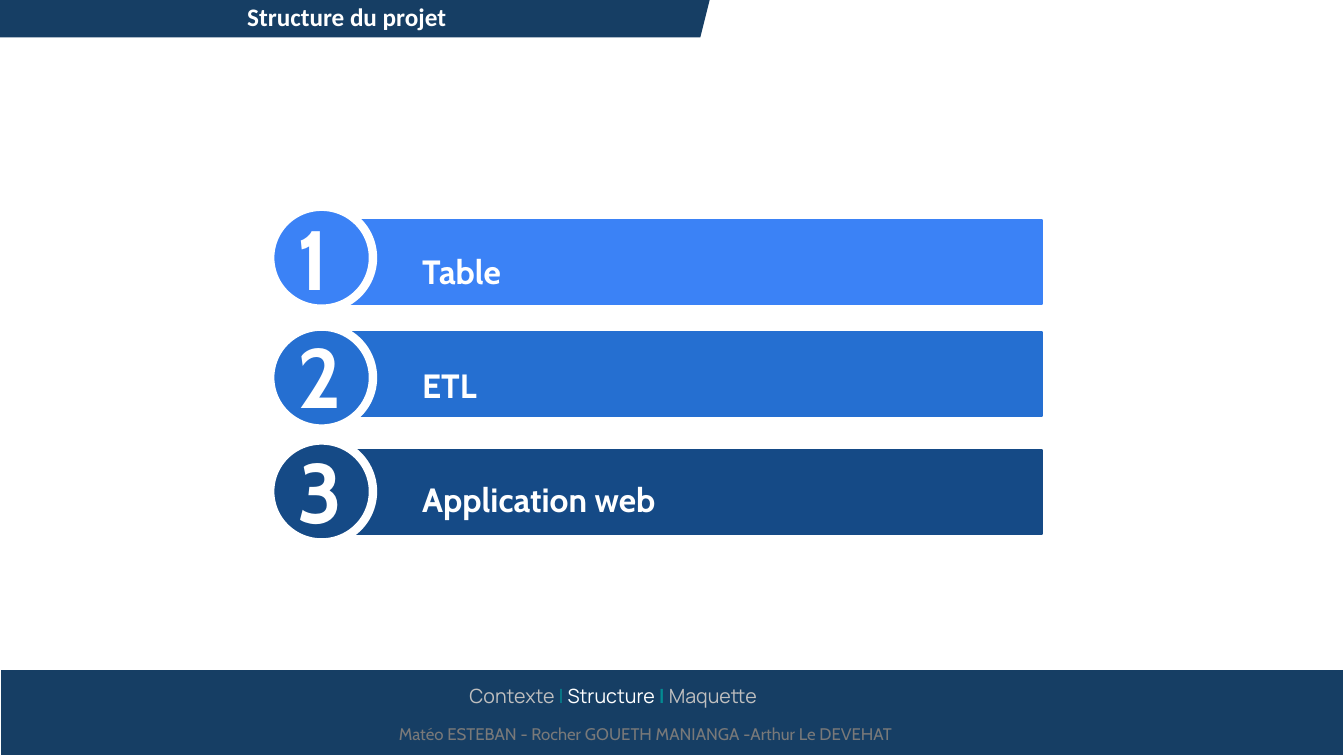
from dataclasses import dataclass
from typing import Optional

from pptx import Presentation
from pptx.dml.color import RGBColor
from pptx.enum import shapes, text
from pptx.shapes.autoshape import Shape
from pptx.slide import Slide
from pptx.util import Cm, Pt


@dataclass(frozen=True)
class Theme:
    navy: str = "163E64"
    white: str = "FFFFFF"
    teal: str = "038B92"
    silver: str = "BFBFBF"
    grey: str = "797979"
    body_font: str = "Cabin"
    title_font: str = "Calibri"
    nav_font: str = "Manrope"
    number_size: int = 60
    label_size: int = 24
    title_size: int = 18
    nav_size: int = 14
    authors_size: int = 12


@dataclass(frozen=True)
class Box:
    left: float
    top: float
    width: float
    height: float

    def emu(self) -> tuple:
        return Cm(self.left), Cm(self.top), Cm(self.width), Cm(self.height)


@dataclass(frozen=True)
class Step:
    number: str
    label: str
    color: str
    bar_top: float
    circle_top: float
    number_top: float


@dataclass(frozen=True)
class Piece:
    words: str
    color: str
    bold: bool = False


THEME = Theme()

STEPS = [
    Step("1", "Table", "3B82F6", 5.54, 5.21, 5.08),
    Step("2", "ETL", "256FD1", 8.36, 8.23, 8.05),
    Step("3", "Application web", "154A86", 11.33, 11.1, 10.95),
]

NAVIGATION = [
    Piece("Contexte ", THEME.silver),
    Piece("| ", THEME.teal),
    Piece("Structure ", THEME.white),
    Piece("| ", THEME.teal, bold=True),
    Piece("Maquette", THEME.silver),
]


def add_figure(slide: Slide, kind: shapes.MSO_SHAPE, box: Box, fill: str,
               line: Optional[str] = None, line_width: float = 1.5) -> Shape:
    figure = slide.shapes.add_shape(kind, *box.emu())
    figure.shadow.inherit = False
    figure.fill.solid()
    figure.fill.fore_color.rgb = RGBColor.from_string(fill)
    if line:
        figure.line.color.rgb = RGBColor.from_string(line)
        figure.line.width = Pt(line_width)
    else:
        figure.line.fill.background()
    return figure


def write(holder: Shape, paragraphs: list[list[Piece]], *, size: int,
          font: str = THEME.body_font, centered: bool = False,
          middle: bool = False, grow: bool = False,
          line_spacing: Optional[float] = None,
          before: int = 0, after: int = 0) -> None:
    frame = holder.text_frame
    frame.word_wrap = True
    frame.vertical_anchor = text.MSO_ANCHOR.MIDDLE if middle else text.MSO_ANCHOR.TOP
    if grow:
        frame.auto_size = text.MSO_AUTO_SIZE.SHAPE_TO_FIT_TEXT
    for index, pieces in enumerate(paragraphs):
        paragraph = frame.add_paragraph() if index else frame.paragraphs[0]
        paragraph.alignment = text.PP_ALIGN.CENTER if centered else text.PP_ALIGN.LEFT
        paragraph.line_spacing = line_spacing
        paragraph.space_before = Pt(before)
        paragraph.space_after = Pt(after)
        for piece in pieces:
            run = paragraph.add_run()
            run.text = piece.words
            run.font.name = font
            run.font.size = Pt(size)
            run.font.bold = piece.bold
            run.font.color.rgb = RGBColor.from_string(piece.color)


def add_text(slide: Slide, box: Box) -> Shape:
    return slide.shapes.add_textbox(*box.emu())


def draw_step(slide: Slide, step: Step) -> None:
    add_figure(slide, shapes.MSO_SHAPE.RECTANGLE, Box(7.57, step.bar_top, 18.69, 2.13),
               step.color, step.color)
    add_figure(slide, shapes.MSO_SHAPE.OVAL, Box(6.81, step.circle_top, 2.59, 2.57),
               step.color, THEME.white, 6)
    number = add_text(slide, Box(7.24, step.number_top, 0.86, 2.82))
    write(number, [[Piece(step.number, THEME.white, bold=True)]],
          size=THEME.number_size, grow=True)


def draw_labels(slide: Slide) -> None:
    labels = add_text(slide, Box(10.39, 5.18, 16.15, 9.75))
    write(labels, [[Piece(step.label, THEME.white, bold=True)] for step in STEPS],
          size=THEME.label_size, grow=True, line_spacing=2.0, before=24)


def draw_header(slide: Slide) -> None:
    header = add_figure(slide, shapes.MSO_SHAPE.PARALLELOGRAM,
                        Box(-0.43, -0.1, 18.34, 1.04), THEME.navy)
    write(header, [[Piece("Structure du projet", THEME.white, bold=True)]],
          size=THEME.title_size, font=THEME.title_font, centered=True, middle=True)


def draw_footer(slide: Slide) -> None:
    add_figure(slide, shapes.MSO_SHAPE.RECTANGLE, Box(0, 16.87, 33.87, 2.18),
               THEME.navy, THEME.white)
    authors = add_text(slide, Box(3.99, 17.98, 24.66, 1.02))
    names = "Matéo ESTEBAN - Rocher GOUETH MANIANGA -Arthur Le DEVEHAT "
    write(authors, [[Piece(names, THEME.grey)]],
          size=THEME.authors_size, centered=True, middle=True)
    navigation = add_text(slide, Box(11.58, 17.12, 8.59, 0.86))
    write(navigation, [NAVIGATION], size=THEME.nav_size, font=THEME.nav_font,
          grow=True, before=24, after=24)


def main() -> None:
    deck = Presentation()
    deck.slide_width, deck.slide_height = Cm(33.87), Cm(19.05)
    slide = deck.slides.add_slide(deck.slide_layouts[6])
    for step in STEPS:
        draw_step(slide, step)
    draw_labels(slide)
    draw_header(slide)
    draw_footer(slide)
    deck.save("out.pptx")


if __name__ == "__main__":
    main()
